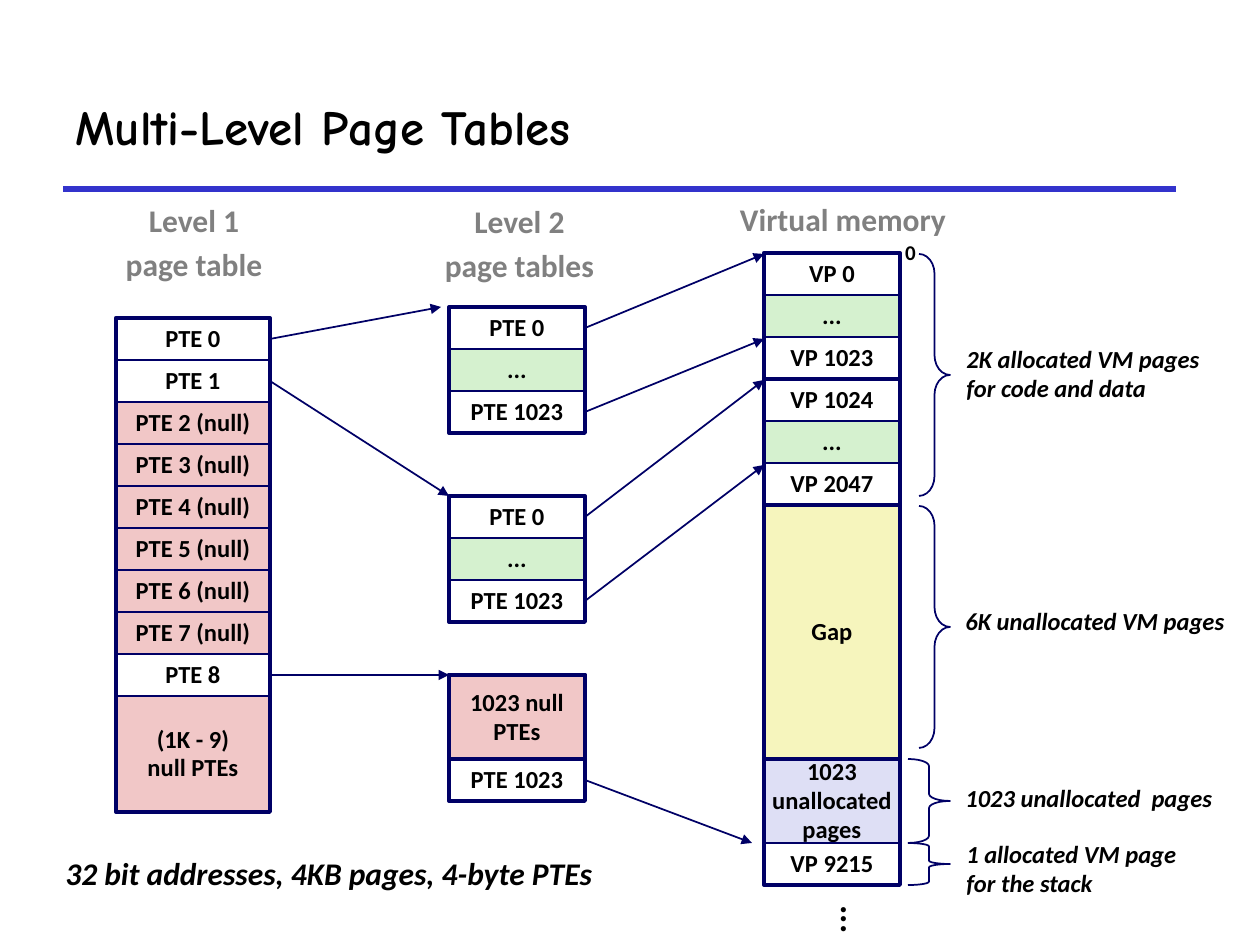
from lxml.etree import SubElement
from pptx import Presentation
from pptx.dml.color import RGBColor
from pptx.enum.shapes import MSO_CONNECTOR, MSO_SHAPE
from pptx.enum.text import MSO_ANCHOR, MSO_AUTO_SIZE, PP_ALIGN
from pptx.oxml.ns import qn
from pptx.util import Emu, Pt

SCALE = 914400 / 126
BLACK = RGBColor(0x00, 0x00, 0x00)
GRAY = RGBColor(0x80, 0x80, 0x80)
NAVY = RGBColor(0x00, 0x00, 0x66)
BLUE = RGBColor(0x33, 0x33, 0xCC)
GREEN = RGBColor(0xD5, 0xF1, 0xCF)
PINK = RGBColor(0xF1, 0xC7, 0xC7)
YELLOW = RGBColor(0xF6, 0xF5, 0xBD)
LAVENDER = RGBColor(0xDE, 0xDF, 0xF5)
WHITE = RGBColor(0xFF, 0xFF, 0xFF)
ROW = 42
THIN, THICK = Pt(1), Pt(2.25)

deck = Presentation()
deck.slide_width, deck.slide_height = Emu(round(1260 * SCALE)), Emu(round(945 * SCALE))
page = deck.slides.add_slide(deck.slide_layouts[6])


def write(box, text, align=PP_ALIGN.LEFT, anchor=MSO_ANCHOR.MIDDLE, wrap=False,
          spacing=0.98, before=0, **formats):
    frame = box.text_frame
    frame.word_wrap = wrap
    frame.vertical_anchor = anchor
    values = {"name": "Calibri", "size": Pt(14), "bold": True, **formats}
    color = values.pop("color", BLACK)
    for index, line in enumerate(text.split("\n")):
        para = frame.paragraphs[0] if index == 0 else frame.add_paragraph()
        para.alignment = align
        para.line_spacing = spacing
        if index:
            para.space_before = Pt(before)
        span = para.add_run()
        span.text = line
        for key, value in values.items():
            setattr(span.font, key, value)
        span.font.color.rgb = color


def draw(kind, area, fill=None, line=NAVY, width=THIN):
    shape = page.shapes.add_shape(kind, *[Emu(round(px * SCALE)) for px in area])
    shape.shadow.inherit = False
    if fill is None:
        shape.fill.background()
    else:
        shape.fill.solid()
        shape.fill.fore_color.rgb = fill
    if line is None:
        shape.line.fill.background()
    else:
        shape.line.color.rgb = line
        shape.line.width = width
    return shape


small_table = [("PTE 0", ROW, None), ("...", ROW, GREEN), ("PTE 1023", ROW, None)]
level_1 = [("PTE 0", ROW, None), ("PTE 1", ROW, None)]
level_1 += [(f"PTE {number} (null)", ROW, PINK) for number in range(2, 8)]
level_1 += [("PTE 8", ROW, None), ("(1K - 9)\nnull PTEs", 116, PINK)]
tables = {
    "memory 0": (764, 253, 136, [("VP 0", ROW, None), ("...", ROW, GREEN), ("VP 1023", ROW, None)]),
    "memory 1": (764, 379, 136, [("VP 1024", ROW, None), ("...", ROW, GREEN), ("VP 2047", ROW, None)]),
    "gap": (764, 505, 136, [("Gap", 254, YELLOW)]),
    "stack": (764, 759, 136, [("1023\nunallocated\npages", 2 * ROW, LAVENDER), ("VP 9215", ROW, None)]),
    "second 0": (449, 307, 136, small_table),
    "second 1": (449, 496, 136, small_table),
    "second 8": (449, 675, 136, [("1023 null\nPTEs", 2 * ROW, PINK), ("PTE 1023", ROW, None)]),
    "first": (116, 318, 154, level_1),
}
cells = {}
for name, (left, top, width, rows) in tables.items():
    y = top
    for index, (text, height, fill) in enumerate(rows):
        edge = LAVENDER if fill == LAVENDER else NAVY
        weight = THICK if text.startswith("1023 null") else THIN
        cell = draw(MSO_SHAPE.RECTANGLE, (left, y, width, height), fill, edge, weight)
        write(cell, text, align=PP_ALIGN.CENTER)
        cells[name, index] = cell
        y += height
    draw(MSO_SHAPE.RECTANGLE, (left, top, width, y - top), width=THICK)

arrows = [
    ("second 0", 0, 764, 254), ("second 0", 2, 764, 339),
    ("second 1", 0, 764, 380), ("second 1", 2, 764, 465),
    ("second 8", 1, 752, 843),
    ("first", 0, 441, 307), ("first", 1, 449, 496), ("first", 8, 449, 675),
]
lines = []
for name, index, x, y in arrows:
    arrow = page.shapes.add_connector(
        MSO_CONNECTOR.STRAIGHT, 0, 0, Emu(round(x * SCALE)), Emu(round(y * SCALE)))
    arrow.begin_connect(cells[name, index], 3)
    lines.append((arrow, NAVY, THIN, True))
rule = page.shapes.add_connector(
    MSO_CONNECTOR.STRAIGHT, *[Emu(round(px * SCALE)) for px in (63, 189, 1176, 189)])
lines.append((rule, BLUE, Pt(3), False))
for connector, color, weight, pointed in lines:
    connector.line.color.rgb = color
    connector.line.width = weight
    if pointed:
        SubElement(connector.line._get_or_add_ln(), qn("a:tailEnd"), type="triangle")
    SubElement(connector._element.spPr, qn("a:effectLst"))

braces = [((919, 254, 31, 242), 0.64), ((919, 506, 31, 242), 0.64),
          ((908, 759, 42, 84), 0.17), ((908, 843, 42, 42), 0.08)]
for area, curve in braces:
    brace = draw(MSO_SHAPE.RIGHT_BRACE, area)
    brace.adjustments[0] = curve
    brace.adjustments[1] = 0.5

heading = {"align": PP_ALIGN.CENTER, "anchor": MSO_ANCHOR.TOP, "spacing": 0.88,
           "before": 6, "size": Pt(18), "color": GRAY}
note = {"italic": True}
captions = [
    ("Level 1\npage table", (111, 200, 166, 91), heading),
    ("Level 2\npage tables", (430, 201, 179, 91), heading),
    ("Virtual memory", (726, 199, 234, 45), {**heading, "wrap": True}),
    ("0", (892, 234, 37, 38), {"align": PP_ALIGN.CENTER, "size": Pt(12)}),
    ("2K allocated VM pages\nfor code and data", (954, 339, 260, 71), note),
    ("6K unallocated VM pages", (953, 601, 286, 42), note),
    ("1023 unallocated  pages", (953, 778, 273, 42), note),
    ("32 bit addresses, 4KB pages, 4-byte PTEs", (53, 848, 566, 50),
     {"anchor": MSO_ANCHOR.TOP, "spacing": 1.0, "size": Pt(18), "italic": True}),
]
for text, area, formats in captions:
    box = page.shapes.add_textbox(*[Emu(round(px * SCALE)) for px in area])
    write(box, text, **formats)
    box.text_frame.auto_size = MSO_AUTO_SIZE.SHAPE_TO_FIT_TEXT

stack_note = draw(MSO_SHAPE.RECTANGLE, (954, 834, 237, 71), WHITE, None)
write(stack_note, "1 allocated VM page\nfor the stack", **note)

title = page.shapes.add_textbox(*[Emu(round(px * SCALE)) for px in (63, 63, 1113, 126)])
write(title, "Multi-Level Page Tables", wrap=True, spacing=1.0, name="Comic Neue", size=Pt(28))

dots = page.shapes.add_textbox(*[Emu(round(px * SCALE)) for px in (808, 893, 69, 47)])
write(dots, "...", anchor=MSO_ANCHOR.TOP, spacing=0.88, size=Pt(20))
dots.text_frame._txBody.bodyPr.set("vert", "eaVert")

deck.save("out.pptx")
